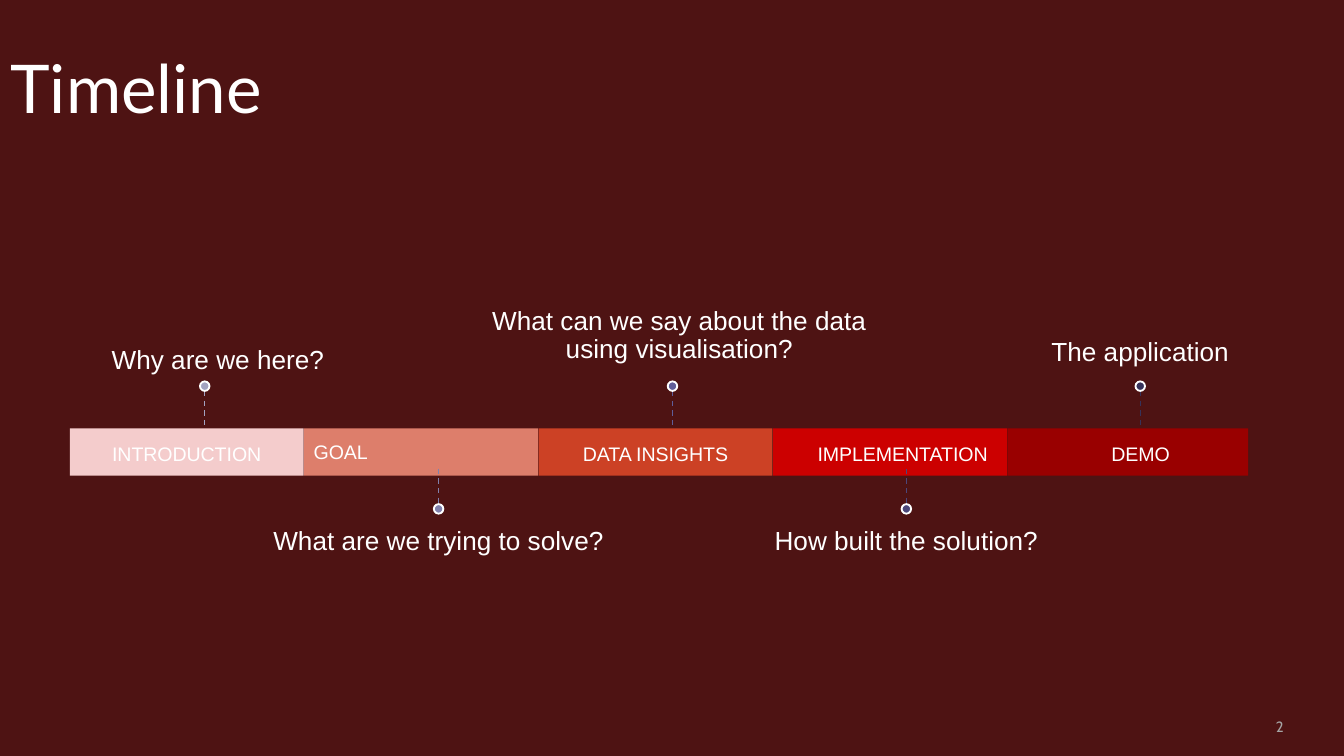
from lxml import etree
from pptx import Presentation
from pptx.dml.color import RGBColor
from pptx.enum.dml import MSO_LINE
from pptx.enum.shapes import MSO_CONNECTOR, MSO_SHAPE
from pptx.enum.text import MSO_ANCHOR, PP_ALIGN
from pptx.oxml.ns import qn
from pptx.util import Cm, Pt

LEFT, CENTER, RIGHT = PP_ALIGN.LEFT, PP_ALIGN.CENTER, PP_ALIGN.RIGHT
TOP, MIDDLE, BOTTOM = MSO_ANCHOR.TOP, MSO_ANCHOR.MIDDLE, MSO_ANCHOR.BOTTOM
RECTANGLE, OVAL = MSO_SHAPE.RECTANGLE, MSO_SHAPE.OVAL
STRAIGHT, DASH = MSO_CONNECTOR.STRAIGHT, MSO_LINE.DASH

BACKGROUND, WHITE, GREY = "4E1313", "FFFFFF", "A5A5A5"
STAGES = [
    dict(name="INTRODUCTION", bar="F4CCCC", marker="A3A3C1", above=True,
         caption="Why are we here?", shift=0.25, top=4.47),
    dict(name="GOAL", bar="DD7E6B", marker="8080AC", above=False,
         caption="What are we trying to solve?", shift=0, top=9.7,
         align=LEFT, inset=0.18, spacing=1.0),
    dict(name="DATA INSIGHTS", bar="CC4125", marker="605E99", above=True,
         caption="What can we say about the data using visualisation?",
         shift=0.13, top=4.27),
    dict(name="IMPLEMENTATION", bar="CC0000", marker="4B477A", above=False,
         caption="How built the solution?", shift=0, top=9.7, indent=0.48),
    dict(name="DEMO", bar="990000", marker="36325A", above=True,
         caption="The application", shift=0, top=4.32, indent=0.48, width=4.55),
]
BAR_LEFT, BAR_TOP, BAR_STEP, BAR_WIDTH, BAR_HEIGHT = 1.32, 8.1, 4.43, 4.42, 0.89
MARKER_LEFT, MARKER_STEP, DOT = 3.87, 4.42, 0.18
STEM_ABOVE, STEM_BELOW = (7.39, 8.05), (8.86, 9.53)
CAPTION_WIDTH, CAPTION_HEIGHT, CAPTION_GAP = 7.37, 2.9, 0.28


def color(value):
    return RGBColor.from_string(value)


def write(shape, text, size, font="Arial", fill=WHITE, align=LEFT, anchor=TOP,
          insets=(0, 0, 0, 0), spacing=1.0, indent=0):
    frame = shape.text_frame
    frame.text = text
    frame.word_wrap = True
    frame.vertical_anchor = anchor
    frame.margin_left, frame.margin_top, frame.margin_right, frame.margin_bottom = map(Cm, insets)
    paragraph = frame.paragraphs[0]
    paragraph.alignment = align
    paragraph.line_spacing = spacing
    if indent:
        properties = paragraph._p.get_or_add_pPr()
        properties.set("marL", str(Cm(indent)))
        properties.set("indent", "0")
    run_font = paragraph.runs[0].font
    run_font.name, run_font.size = font, Pt(size)
    run_font.color.rgb = color(fill)


def add_text(slide, box, text, size, **style):
    write(slide.shapes.add_textbox(*map(Cm, box)), text, size, **style)


def add_filled(slide, preset, box, fill, outline=None):
    shape = slide.shapes.add_shape(preset, *map(Cm, box))
    shape.shadow.inherit = False
    shape.fill.solid()
    shape.fill.fore_color.rgb = color(fill)
    if outline:
        shape.line.color.rgb = color(outline)
        shape.line.width = Pt(1)
    else:
        shape.line.fill.background()
    return shape


def add_stem(slide, x, start, end, stroke):
    stem = slide.shapes.add_connector(STRAIGHT, Cm(x), Cm(start), Cm(x), Cm(end))
    stem.line.color.rgb = color(stroke)
    stem.line.width = Pt(0.75)
    stem.line.dash_style = DASH
    etree.SubElement(stem._element.spPr, qn("a:effectLst"))


def add_stage(slide, index, stage):
    bar_box = (BAR_LEFT + index * BAR_STEP, BAR_TOP, stage.get("width", BAR_WIDTH), BAR_HEIGHT)
    bar = add_filled(slide, RECTANGLE, bar_box, stage["bar"])
    write(bar, stage["name"], 10.5, align=stage.get("align", CENTER), anchor=MIDDLE,
          insets=(stage.get("inset", 0.28),) * 4, spacing=stage.get("spacing", 1.1),
          indent=stage.get("indent", 0))

    x = MARKER_LEFT + index * MARKER_STEP
    above = stage["above"]
    caption_box = (x + stage["shift"] - CAPTION_WIDTH / 2, stage["top"],
                   CAPTION_WIDTH, CAPTION_HEIGHT)
    add_text(slide, caption_box, stage["caption"], 14, align=CENTER, spacing=0.9,
             anchor=BOTTOM if above else TOP,
             insets=(0, 0, 0, CAPTION_GAP) if above else (0, CAPTION_GAP, 0, 0))

    start, end = STEM_ABOVE if above else STEM_BELOW
    add_stem(slide, x, start, end, stage["marker"])
    dot_top = start - DOT if above else end
    add_filled(slide, OVAL, (x - DOT / 2, dot_top, DOT, DOT), stage["marker"], WHITE)


def main():
    """Build the timeline slide."""
    presentation = Presentation()
    presentation.slide_width, presentation.slide_height = Cm(25.4), Cm(14.29)
    slide = presentation.slides.add_slide(presentation.slide_layouts[6])
    slide.background.fill.solid()
    slide.background.fill.fore_color.rgb = color(BACKGROUND)
    add_text(slide, (0.2, 1.04, 23.11, 2.77), "Timeline", 36, font="Lato", spacing=0.9)
    add_text(slide, (20.73, 13.56, 3.53, 0.33), "2", 8, font="Cabin", fill=GREY,
             align=RIGHT, anchor=MIDDLE)
    for index, stage in enumerate(STAGES):
        add_stage(slide, index, stage)
    presentation.save("out.pptx")


if __name__ == "__main__":
    main()
